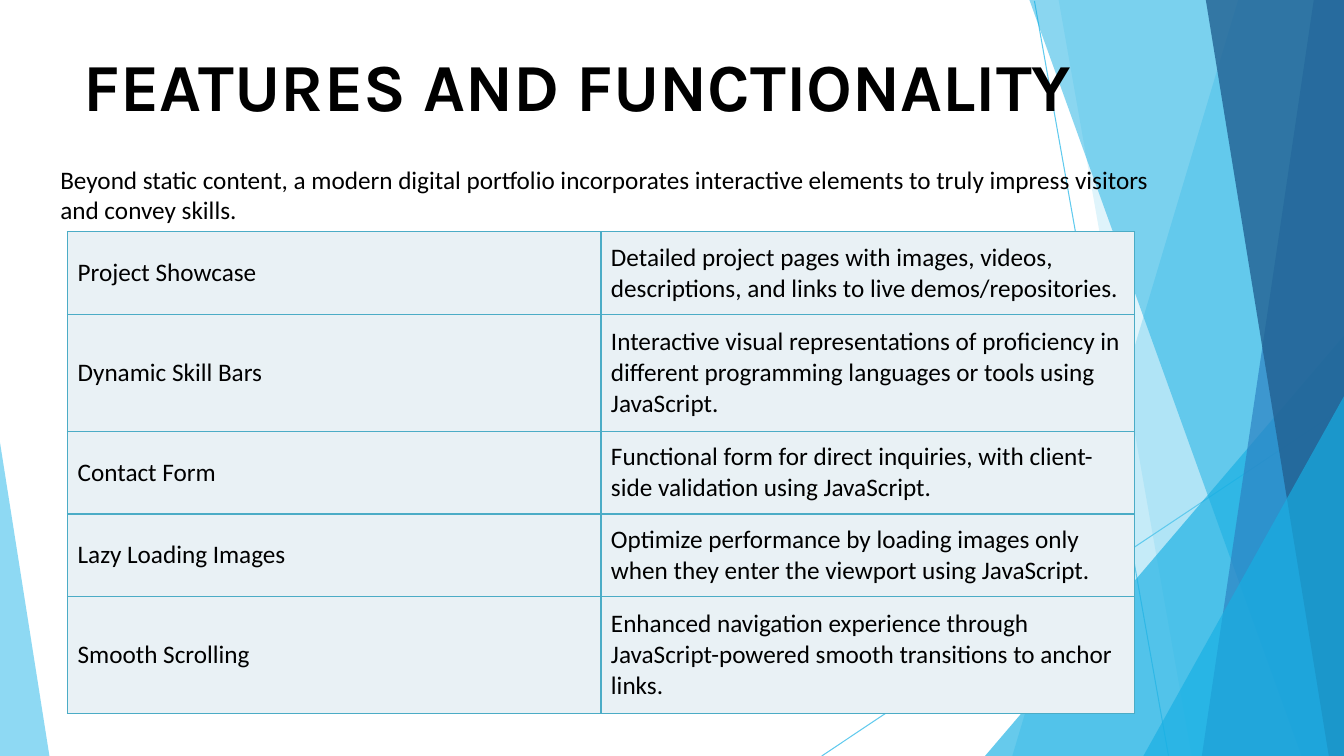
from dataclasses import dataclass

from lxml import etree
from pptx import Presentation
from pptx.dml.color import RGBColor
from pptx.enum.shapes import MSO_CONNECTOR
from pptx.enum.text import MSO_ANCHOR, MSO_AUTO_SIZE, PP_ALIGN
from pptx.oxml.ns import qn
from pptx.slide import Slide
from pptx.text.text import TextFrame
from pptx.util import Inches, Pt

STRAIGHT = MSO_CONNECTOR.STRAIGHT
MIDDLE = MSO_ANCHOR.MIDDLE
NO_FIT = MSO_AUTO_SIZE.NONE
LEFT = PP_ALIGN.LEFT

WIDTH, HEIGHT = 13.33, 7.5


@dataclass(frozen=True)
class Theme:
    text: str = "000000"
    sky: str = "5FCAEE"
    cyan: str = "17AFE3"
    blue: str = "2D83C3"
    navy: str = "226192"
    cell: str = "E9F1F5"
    border: str = "4BACC6"
    title_font: str = "Karla"
    body_font: str = "Calibri"
    title_size: int = 48
    body_size: int = 18
    line_width: float = 0.75
    border_width: int = 1


THEME = Theme()


@dataclass(frozen=True)
class Facet:
    corners: tuple[tuple[float, float], ...]
    color: str
    opacity: int


@dataclass(frozen=True)
class Ray:
    start: tuple[float, float]
    end: tuple[float, float]


@dataclass(frozen=True)
class Feature:
    name: str
    description: str
    height: float


def right_band(top: float, bottom: float, color: str, opacity: int) -> Facet:
    """A full-height band from a slanted left side to the right slide edge."""
    corners = ((WIDTH, 0), (top, 0), (bottom, HEIGHT), (WIDTH, HEIGHT))
    return Facet(corners, color, opacity)


def right_wedge(top: float, left: float) -> Facet:
    """A triangle in the lower right corner."""
    return Facet(((WIDTH, top), (left, HEIGHT), (WIDTH, HEIGHT)), THEME.cyan, 66)


RAYS = (
    Ray((10.26, 0.01), (11.59, HEIGHT)),
    Ray((WIDTH, 4.04), (8.15, HEIGHT)),
)
FACETS = (
    right_band(12.28, 10.04, THEME.sky, 36),
    right_band(10.5, 11.82, THEME.sky, 20),
    right_wedge(3.33, 9.77),
    right_band(10.21, 12.91, THEME.cyan, 50),
    right_band(13.03, 11.92, THEME.blue, 70),
    right_band(11.96, 13.18, THEME.navy, 80),
    right_wedge(3.93, 11.34),
    Facet(((0, 4.39), (0, HEIGHT), (0.49, HEIGHT)), THEME.sky, 70),
)

TITLE = "FEATURES AND FUNCTIONALITY"
INTRO = (
    "Beyond static content, a modern digital portfolio incorporates "
    "interactive elements to truly impress visitors and convey skills."
)
TWO_LINES, THREE_LINES = 0.82, 1.16
FEATURES = (
    Feature("Project Showcase",
            "Detailed project pages with images, videos, descriptions, "
            "and links to live demos/repositories.", TWO_LINES),
    Feature("Dynamic Skill Bars",
            "Interactive visual representations of proficiency in different "
            "programming languages or tools using JavaScript.", THREE_LINES),
    Feature("Contact Form",
            "Functional form for direct inquiries, with client-side "
            "validation using JavaScript.", TWO_LINES),
    Feature("Lazy Loading Images",
            "Optimize performance by loading images only when they enter "
            "the viewport using JavaScript.", TWO_LINES),
    Feature("Smooth Scrolling",
            "Enhanced navigation experience through JavaScript-powered "
            "smooth transitions to anchor links.", THREE_LINES),
)


def write(frame: TextFrame, text: str, font: str, size: int, bold: bool = False) -> None:
    para = frame.paragraphs[0]
    para.alignment = LEFT
    span = para.add_run()
    span.text = text
    span.font.name = font
    span.font.size = Pt(size)
    span.font.bold = bold
    span.font.color.rgb = RGBColor.from_string(THEME.text)


def draw_ray(page: Slide, ray: Ray) -> None:
    ends = [Inches(value) for value in ray.start + ray.end]
    line = page.shapes.add_connector(STRAIGHT, *ends)
    line.line.color.rgb = RGBColor.from_string(THEME.sky)
    line.line.width = Pt(THEME.line_width)
    etree.SubElement(line._element.spPr, qn("a:effectLst"))


def draw_facet(page: Slide, facet: Facet) -> None:
    first, *rest = [(Inches(x), Inches(y)) for x, y in facet.corners]
    builder = page.shapes.build_freeform(*first)
    builder.add_line_segments(rest, close=True)
    shape = builder.convert_to_shape()
    shape.shadow.inherit = False
    shape.line.fill.background()
    shape.fill.solid()
    shape.fill.fore_color.rgb = RGBColor.from_string(facet.color)
    color = shape._element.spPr.find(qn("a:solidFill"))[0]
    etree.SubElement(color, qn("a:alpha"), val=str(facet.opacity * 1000))


def draw_title(page: Slide) -> None:
    title = page.shapes.title
    title.left, title.top = Inches(0.83), Inches(0.42)
    title.width, title.height = Inches(11.68), Inches(0.83)
    frame = title.text_frame
    frame.margin_left = frame.margin_right = 0
    frame.margin_top = frame.margin_bottom = 0
    frame.auto_size = NO_FIT
    frame.word_wrap = True
    frame.vertical_anchor = MIDDLE
    write(frame, TITLE, THEME.title_font, THEME.title_size, bold=True)
    # Bring the title in front of the facets
    page.shapes._spTree.append(title._element)


def draw_intro(page: Slide) -> None:
    box = page.shapes.add_textbox(Inches(0.5), Inches(1.58), Inches(11), Inches(0.71))
    box.text_frame.word_wrap = True
    write(box.text_frame, INTRO, THEME.body_font, THEME.body_size)


def draw_features(page: Slide) -> None:
    total = sum(feature.height for feature in FEATURES)
    table = page.shapes.add_table(
        len(FEATURES), 2, Inches(0.67), Inches(2.3), Inches(10.58), Inches(total)
    ).table
    table.first_row = table.horz_banding = False
    for row, feature in enumerate(FEATURES):
        table.rows[row].height = Inches(feature.height)
        for column, text in enumerate((feature.name, feature.description)):
            cell = table.cell(row, column)
            cell.vertical_anchor = MIDDLE
            write(cell.text_frame, text, THEME.body_font, THEME.body_size)
            # Cell borders come before the fill in the XML
            properties = cell._tc.get_or_add_tcPr()
            for side in ("a:lnL", "a:lnR", "a:lnT", "a:lnB"):
                border = etree.SubElement(
                    properties, qn(side), w=str(Pt(THEME.border_width)))
                fill = etree.SubElement(border, qn("a:solidFill"))
                etree.SubElement(fill, qn("a:srgbClr"), val=THEME.border)
            cell.fill.solid()
            cell.fill.fore_color.rgb = RGBColor.from_string(THEME.cell)


def main() -> None:
    deck = Presentation()
    deck.slide_width, deck.slide_height = Inches(WIDTH), Inches(HEIGHT)
    page = deck.slides.add_slide(deck.slide_layouts.get_by_name("Title Only"))
    # Background
    for ray in RAYS:
        draw_ray(page, ray)
    for facet in FACETS:
        draw_facet(page, facet)
    # Content
    draw_title(page)
    draw_intro(page)
    draw_features(page)
    deck.save("out.pptx")


if __name__ == "__main__":
    main()
